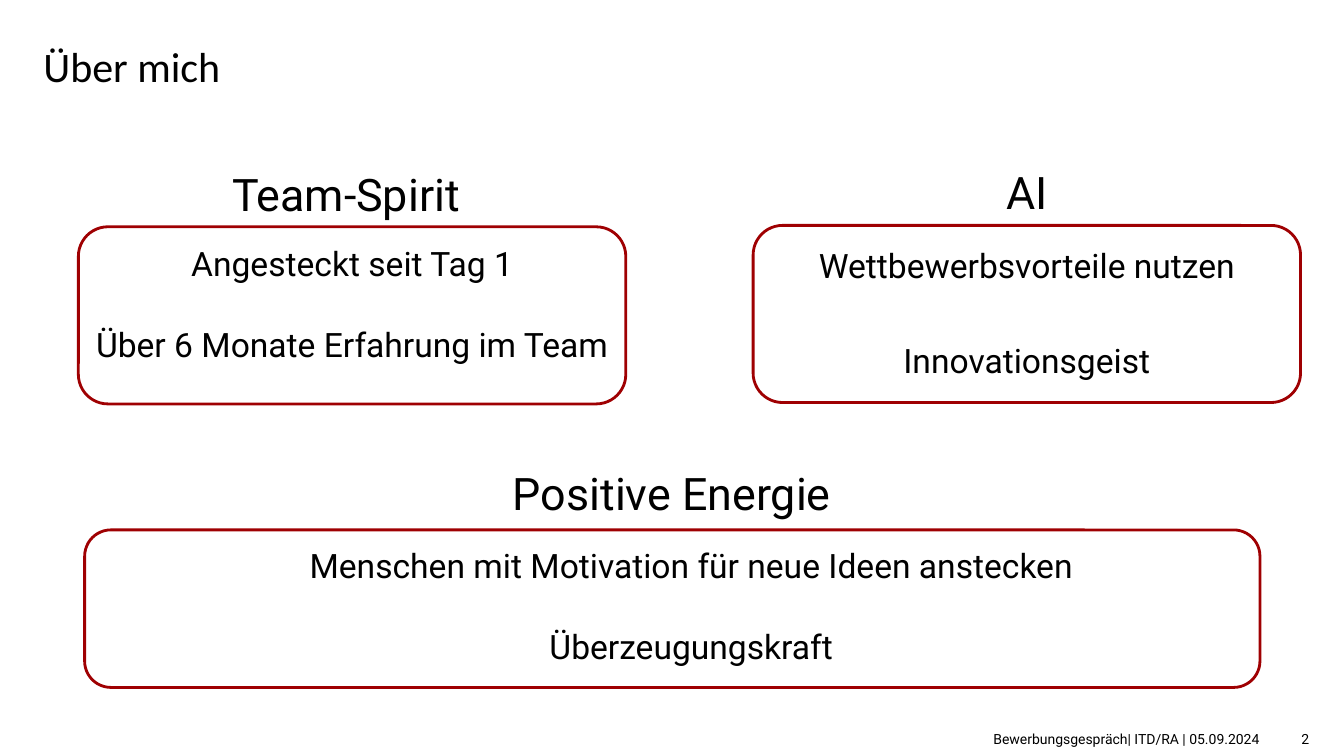
from pptx import Presentation
from pptx.dml.color import RGBColor
from pptx.enum import shapes, text
from pptx.util import Pt

BLACK = RGBColor(0x00, 0x00, 0x00)
WHITE = RGBColor(0xFF, 0xFF, 0xFF)
DARK_RED = RGBColor(0x9F, 0x00, 0x02)
LEFT, CENTER, RIGHT = text.PP_ALIGN.LEFT, text.PP_ALIGN.CENTER, text.PP_ALIGN.RIGHT
HEADING_WIDTH = 260


def set_margins(frame, left, top, right, bottom):
    frame.margin_left, frame.margin_top = Pt(left), Pt(top)
    frame.margin_right, frame.margin_bottom = Pt(right), Pt(bottom)


def write(paragraph, wording, size, font="Roboto", align=CENTER):
    paragraph.alignment = align
    run = paragraph.add_run()
    run.text = wording
    run.font.name = font
    run.font.size = Pt(size)
    run.font.color.rgb = BLACK


def add_label(slide, bounds, wording, size, font="Roboto", align=LEFT,
              anchor=text.MSO_ANCHOR.TOP):
    box = slide.shapes.add_textbox(*map(Pt, bounds))
    frame = box.text_frame
    frame.word_wrap = True
    frame.vertical_anchor = anchor
    set_margins(frame, 0, 0, 0, 0)
    write(frame.paragraphs[0], wording, size, font, align)
    return frame.paragraphs[0]


def add_heading(slide, center, top, wording):
    bounds = (center - HEADING_WIDTH / 2, top, HEADING_WIDTH, 42)
    paragraph = add_label(slide, bounds, wording, 32, align=CENTER)
    paragraph.line_spacing = 1.08


def add_card(slide, bounds, lines, gap, spacings=(1, 1), indent=0):
    card = slide.shapes.add_shape(shapes.MSO_SHAPE.ROUNDED_RECTANGLE, *map(Pt, bounds))
    card.shadow.inherit = False
    card.fill.solid()
    card.fill.fore_color.rgb = WHITE
    card.line.color.rgb = DARK_RED
    card.line.width = Pt(2)
    frame = card.text_frame
    frame.word_wrap = True
    frame.vertical_anchor = text.MSO_ANCHOR.TOP
    set_margins(frame, 5 + indent, 5.5, 5, 5.5)
    for index, (line, spacing) in enumerate(zip(lines, spacings)):
        paragraph = frame.add_paragraph() if index else frame.paragraphs[0]
        paragraph.line_spacing = spacing
        if index:
            paragraph.space_before = Pt(gap)
        write(paragraph, line, 24)


def main():
    presentation = Presentation()
    presentation.slide_width, presentation.slide_height = Pt(960), Pt(540)
    slide = presentation.slides.add_slide(presentation.slide_layouts[6])

    add_label(slide, (31, 28.8, 898, 79), "Über mich", 30, "Calibri")

    add_heading(slide, 247.2, 116, "Team-Spirit")
    add_card(slide, (56, 162, 391, 126.5),
             ("Angesteckt seit Tag 1", "Über 6 Monate Erfahrung im Team"), 29)

    add_heading(slide, 733.5, 114.5, "AI")
    add_card(slide, (538, 161, 391, 126.5),
             ("Wettbewerbsvorteile nutzen", "Innovationsgeist"), 10.1, (1.08, 2))

    add_heading(slide, 480, 329.3, "Positive Energie")
    add_card(slide, (60.5, 378.5, 839.5, 112.5),
             ("Menschen mit Motivation für neue Ideen anstecken", "Überzeugungskraft"),
             29, indent=27)

    middle = text.MSO_ANCHOR.MIDDLE
    add_label(slide, (281.5, 516, 618, 24), "Bewerbungsgespräch| ITD/RA | 05.09.2024",
              10, align=RIGHT, anchor=middle)
    add_label(slide, (929.5, 516, 25, 24), "2", 10, anchor=middle)

    presentation.save("out.pptx")


if __name__ == "__main__":
    main()
